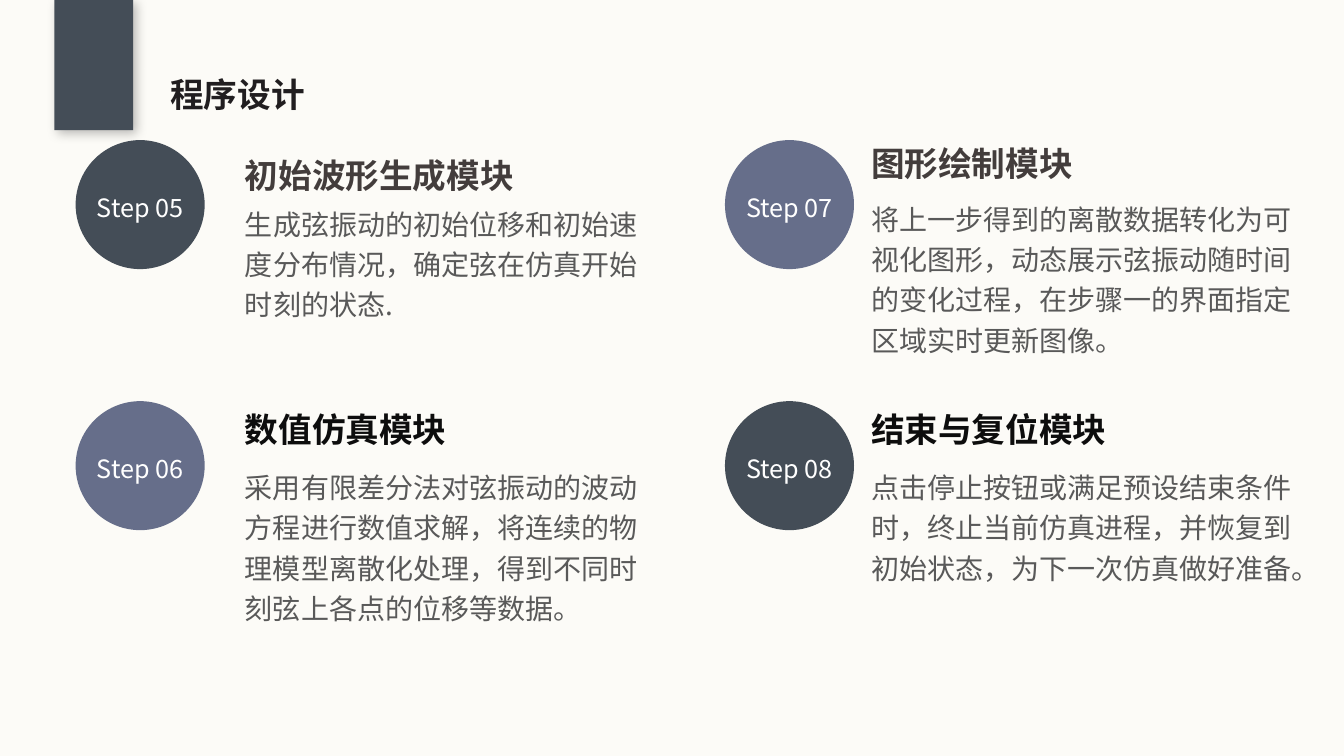
from lxml import etree
from pptx import Presentation
from pptx.dml.color import RGBColor
from pptx.enum.shapes import MSO_SHAPE as Shape
from pptx.enum.text import MSO_ANCHOR as Anchor, PP_ALIGN as Align
from pptx.oxml import parse_xml
from pptx.oxml.ns import qn
from pptx.util import Inches, Pt

CREAM = RGBColor(0xFC, 0xFB, 0xF7)
SLATE = RGBColor(0x44, 0x4D, 0x57)
VIOLET = RGBColor(0x66, 0x6E, 0x8A)
WHITE = RGBColor(0xFF, 0xFF, 0xFF)
INK = RGBColor(0x21, 0x1E, 0x20)
BROWN = RGBColor(0x43, 0x3D, 0x3C)
BLACK = RGBColor(0x0D, 0x0D, 0x0D)
GRAY = RGBColor(0x59, 0x59, 0x59)
FONT = "Noto Sans CJK SC"

TITLE = "程序设计"
# label, column, row, fill, heading, heading top, heading colour, body, body box (top, width, height)
STEPS = [
    ("Step 05", 0, 0, SLATE, "初始波形生成模块", 1.46, BROWN,
     "生成弦振动的初始位移和初始速度分布情况，确定弦在仿真开始时刻的状态.",
     (1.99, 4.09, 1.21)),
    ("Step 07", 1, 0, VIOLET, "图形绘制模块", 1.34, BROWN,
     "将上一步得到的离散数据转化为可视化图形，动态展示弦振动随时间的变化过程，"
     "在步骤一的界面指定区域实时更新图像。",
     (1.94, 4.35, 1.97)),
    ("Step 06", 0, 1, VIOLET, "数值仿真模块", 3.98, BLACK,
     "采用有限差分法对弦振动的波动方程进行数值求解，将连续的物理模型离散化处理，"
     "得到不同时刻弦上各点的位移等数据。",
     (4.6, 4.03, 1.62)),
    ("Step 08", 1, 1, SLATE, "结束与复位模块", 3.98, BLACK,
     "点击停止按钮或满足预设结束条件时，终止当前仿真进程，并恢复到初始状态，"
     "为下一次仿真做好准备。",
     (4.6, 4.25, 1.21)),
]
DOT_X, DOT_Y, DOT = (0.75, 7.19), (1.39, 3.98), 1.28
TEXT_X = (2.43, 8.64)

# Outlines of the pencil badge: outer and inner hexagon, then the pencil parts
BADGE = [
    [(0.94, 0.58), (1.18, 0.72), (1.18, 1.01), (0.94, 1.15), (0.69, 1.01), (0.69, 0.72)],
    [(0.94, 0.63), (1.14, 0.75), (1.14, 0.99), (0.94, 1.11), (0.74, 0.99), (0.74, 0.75)],
    [(0.89, 1), (1.02, 1), (1.03, 1.01), (0.88, 1.01)],
    [(0.89, 0.93), (0.97, 0.8), (0.99, 0.82), (0.92, 0.95)],
    [(0.84, 0.9), (0.91, 0.77), (0.94, 0.79), (0.86, 0.91)],
    [(0.83, 1), (0.83, 0.94), (0.88, 0.97), (0.83, 1.01)],
    [(0.93, 0.74), (0.92, 0.75), (1, 0.8), (1.01, 0.79)],
    [(0.95, 0.71), (0.97, 0.7), (1.02, 0.73), (1.03, 0.76), (1.02, 0.77), (0.94, 0.72)],
]
SHADOW = (
    '<a:effectLst xmlns:a="http://schemas.openxmlformats.org/drawingml/2006/main">'
    '<a:outerShdw blurRad="101600" dist="38100" dir="2700000" algn="tl" rotWithShape="0">'
    '<a:srgbClr val="000000"><a:alpha val="25000"/></a:srgbClr>'
    '</a:outerShdw></a:effectLst>')


def write(shape, text, size, color, bold=False, font=FONT, align=Align.LEFT,
          anchor=Anchor.TOP, wrap=True, inset=0.0, inset_y=0.0):
    frame = shape.text_frame
    frame.word_wrap, frame.vertical_anchor = wrap, anchor
    frame.margin_left = frame.margin_right = Inches(inset)
    frame.margin_top = frame.margin_bottom = Inches(inset_y)
    para = frame.paragraphs[0]
    para.alignment, para.line_spacing = align, 1.2
    run = para.add_run()
    run.text = text
    run.font.size, run.font.bold, run.font.name = Pt(size), bold, font
    run.font.color.rgb = color
    # East Asian glyphs need their own typeface entry
    run.font._element.find(qn("a:latin")).addnext(
        etree.Element(qn("a:ea"), typeface=FONT))


def paint(shape, color):
    shape.shadow.inherit = False
    shape.fill.solid()
    shape.fill.fore_color.rgb = color
    shape.line.fill.background()
    return shape


def box(slide, left, top, width, height):
    return slide.shapes.add_textbox(*map(Inches, (left, top, width, height)))


def add_ribbon(slide):
    ribbon = paint(slide.shapes.add_shape(
        Shape.RECTANGLE, Inches(0.54), 0, Inches(0.78), Inches(1.29)), SLATE)
    props = ribbon._element.spPr
    props.replace(props.find(qn("a:effectLst")), parse_xml(SHADOW))
    pen = slide.shapes.build_freeform(*BADGE[0][0], scale=Inches(1))
    for i, points in enumerate(BADGE):
        if i:
            pen.move_to(*points[0])
        pen.add_line_segments(points[1:], close=True)
    paint(pen.convert_to_shape(), WHITE)


def add_step(slide, label, col, row, fill, head, head_y, color, body, area):
    dot = paint(slide.shapes.add_shape(
        Shape.OVAL, *map(Inches, (DOT_X[col], DOT_Y[row], DOT, DOT))), fill)
    write(dot, label, 18, WHITE, align=Align.CENTER, anchor=Anchor.MIDDLE, wrap=False)
    left = TEXT_X[col]
    write(box(slide, left, head_y, 4.2, 0.48), head, 24, color, bold=True)
    write(box(slide, left, *area), body, 20, GRAY)


def main():
    deck = Presentation()
    deck.slide_width, deck.slide_height = Inches(13.33), Inches(7.5)
    slide = deck.slides.add_slide(deck.slide_layouts[5])
    back = slide.background.fill
    back.solid()
    back.fore_color.rgb = CREAM
    add_ribbon(slide)
    title = slide.shapes.title
    title.left, title.top, title.width, title.height = map(Inches, (1.59, 0.6, 3.97, 0.5))
    write(title, TITLE, 24, INK, bold=True, font="Calibri", inset=0.1, inset_y=0.05)
    for step in STEPS:
        add_step(slide, *step)
    deck.save("out.pptx")


if __name__ == "__main__":
    main()
